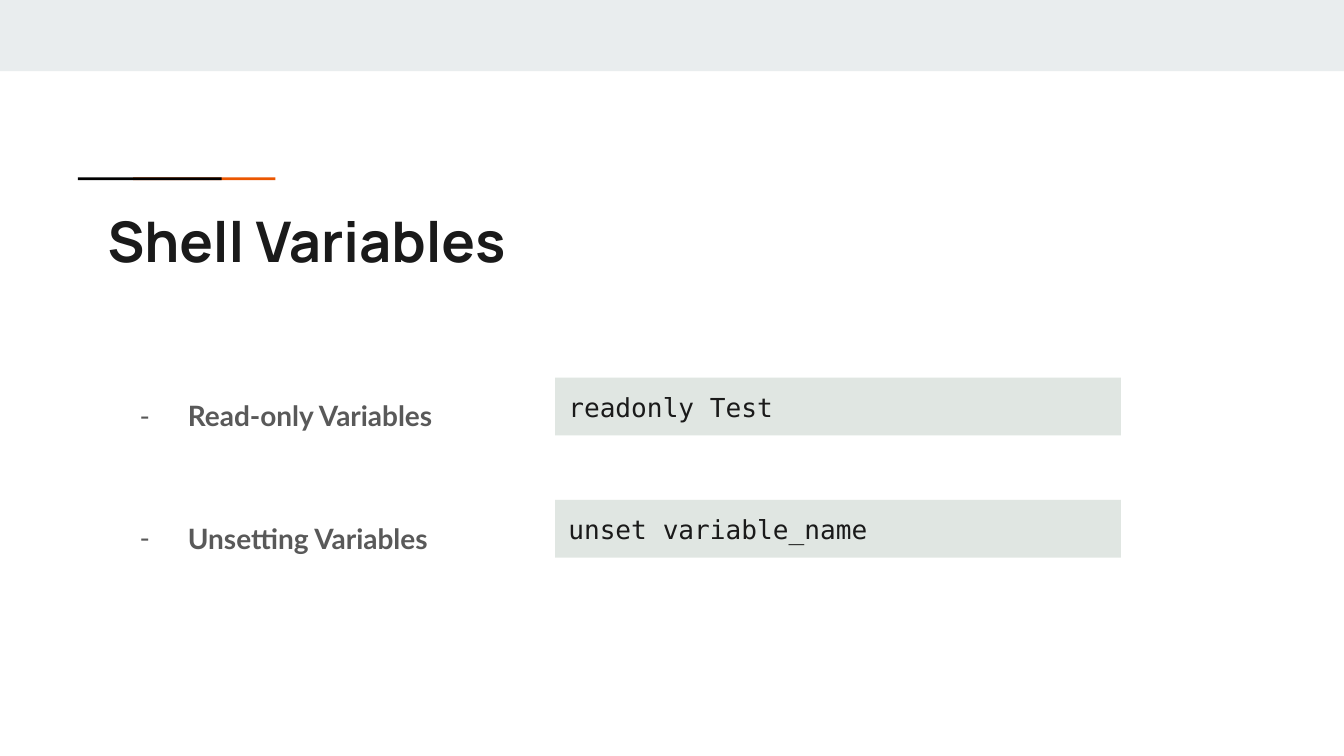
from dataclasses import dataclass

from lxml.etree import SubElement
from pptx import Presentation
from pptx.dml.color import RGBColor as Color
from pptx.enum.shapes import MSO_SHAPE as Shape
from pptx.enum.text import MSO_ANCHOR as Anchor, MSO_AUTO_SIZE as AutoSize, PP_ALIGN as Align
from pptx.oxml.ns import qn
from pptx.util import Inches, Pt


@dataclass(frozen=True)
class Theme:
    band: str = "E9EDEE"
    accent: str = "EB5600"
    rule: str = "000000"
    ink: str = "1A1A1A"
    muted: str = "595959"
    code_fill: str = "255235"
    code_opacity: int = 14
    title_font: str = "Manrope"
    body_font: str = "Lato"
    code_font: str = "DejaVu Sans Mono"
    title_size: int = 30
    body_size: int = 15
    code_size: int = 14


THEME = Theme()


def add_block(page, box, color):
    block = page.shapes.add_shape(Shape.RECTANGLE, *map(Inches, box))
    block.shadow.inherit = False
    block.fill.solid()
    block.fill.fore_color.rgb = Color.from_string(color)
    block.line.fill.background()
    return block


def set_frame(frame, side_inset):
    frame.word_wrap = True
    frame.vertical_anchor = Anchor.TOP
    frame.margin_left = frame.margin_right = Inches(side_inset)
    frame.margin_top = frame.margin_bottom = Inches(0.1)


def set_text(para, text, font, size, color, bold=False):
    para.text = text
    para.alignment = Align.LEFT
    para.font.name = font
    para.font.size = Pt(size)
    para.font.bold = bold
    para.font.color.rgb = Color.from_string(color)


def add_dash(para):
    properties = para._p.get_or_add_pPr()
    properties.set("marL", str(Inches(0.5)))
    properties.set("indent", str(Inches(-0.36)))
    bullet_color = SubElement(properties, qn("a:buClr"))
    SubElement(bullet_color, qn("a:srgbClr"), val=THEME.muted)
    SubElement(properties, qn("a:buFont"), typeface=THEME.body_font)
    SubElement(properties, qn("a:buChar"), char="-")


def add_header(page, box):
    left, top, width, height = box
    add_block(page, box, THEME.band)
    rule_top = top + 1.32
    add_block(page, (left + 0.99, rule_top, 1.06, 0.02), THEME.accent)
    add_block(page, (left + 0.58, rule_top, 1.07, 0.02), THEME.rule)


def add_title(page, box, text):
    title = page.shapes.title
    title.left, title.top, title.width, title.height = map(Inches, box)
    frame = title.text_frame
    set_frame(frame, 0)
    frame.auto_size = AutoSize.NONE
    set_text(frame.paragraphs[0], text, THEME.title_font, THEME.title_size, THEME.ink, True)


def add_command(page, box, label, code):
    left, top, width, height = box
    code_left = 3.33
    block = add_block(page, (left + code_left, top, width - code_left, 0.43), THEME.code_fill)
    fill_color = block.fill._xPr.find(qn("a:solidFill"))[0]
    SubElement(fill_color, qn("a:alpha"), val=str(THEME.code_opacity * 1000))
    set_frame(block.text_frame, 0.1)
    set_text(block.text_frame.paragraphs[0], code, THEME.code_font, THEME.code_size, THEME.ink)

    caption_top = 0.02
    caption = page.shapes.add_textbox(
        *map(Inches, (left, top + caption_top, 3.17, height - caption_top))
    )
    set_frame(caption.text_frame, 0.1)
    para = caption.text_frame.paragraphs[0]
    add_dash(para)
    para.line_spacing = 1.15
    set_text(para, label, THEME.body_font, THEME.body_size, THEME.muted, True)


def main():
    deck = Presentation()
    deck.slide_width = Inches(10)
    deck.slide_height = deck.slide_width * 9 // 16
    page = deck.slides.add_slide(deck.slide_layouts[5])
    add_header(page, (0, 0, 10, 0.53))
    add_title(page, (0.8, 1.44, 8.41, 0.59), "Shell Variables")
    commands = [
        ("Read-only Variables", "readonly Test"),
        ("Unsetting Variables", "unset variable_name"),
    ]
    for row, (label, code) in enumerate(commands):
        add_command(page, (0.8, 2.81 + row * 0.91, 7.54, 0.51), label, code)
    deck.save("out.pptx")


if __name__ == "__main__":
    main()
